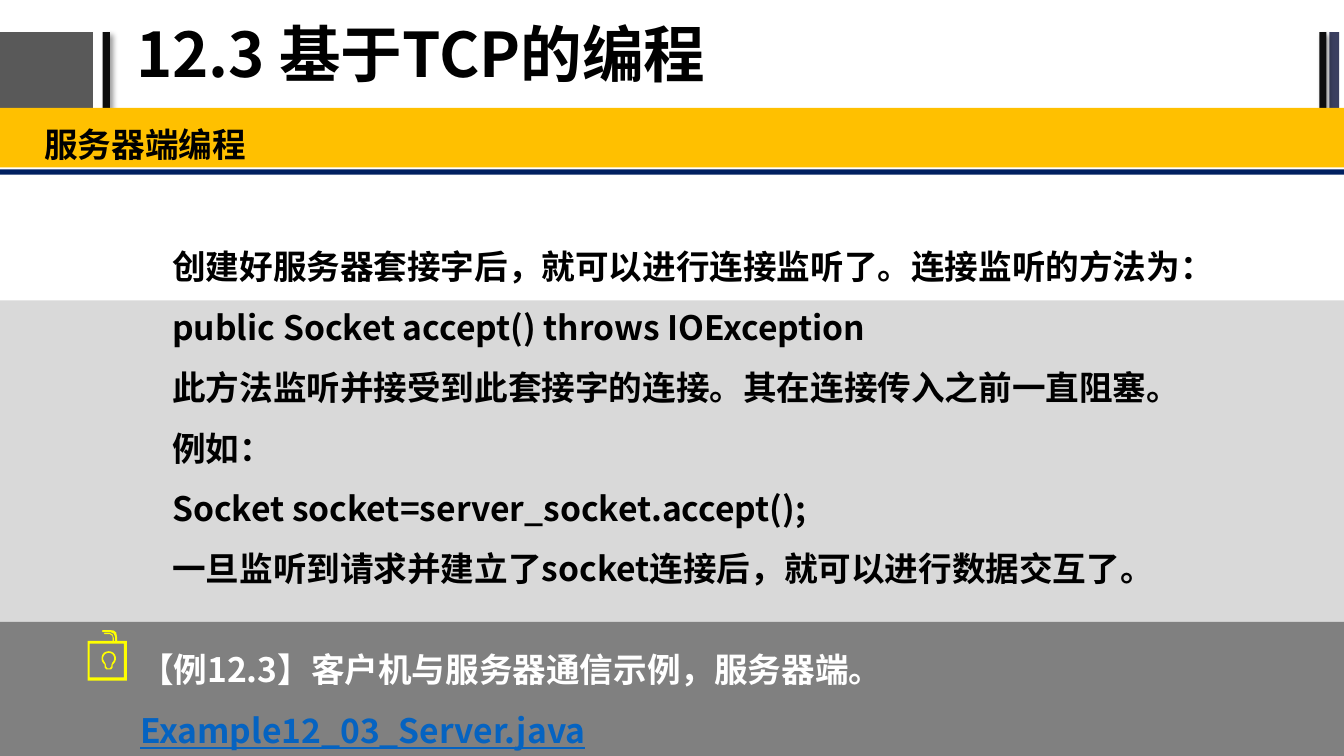
from math import cos, sin, radians
from lxml import etree
from pptx import Presentation
from pptx import util as u
from pptx.dml.color import RGBColor
from pptx.enum import shapes, text
from pptx.oxml import parse_xml
from pptx.oxml.ns import qn, nsdecls

FONT = "Noto Sans CJK SC"
HUES = {"slate": "595959", "ink": "0D0D0D", "plum": "3B3F60", "light": "D9D9D9",
        "navy": "002060", "gold": "FFC000", "grey": "808080", "lock": "FFFF00",
        "black": "000000", "white": "FFFFFF", "link": "0563C1"}


def paint(shape, hue):
    """Give a shape a plain fill without line or shadow."""
    shape.shadow.inherit = False
    shape.fill.solid()
    shape.fill.fore_color.rgb = RGBColor.from_string(HUES[hue])
    shape.line.fill.background()


def write(box, place, lines, size, pace, rise=0, hue="black", pad=(0.33, 0.18)):
    """Place a text shape and fill it with bold paragraphs."""
    box.left, box.top, box.width, box.height = [u.Cm(n) for n in place]
    frame = box.text_frame
    frame.word_wrap = True
    frame.auto_size = text.MSO_AUTO_SIZE.NONE
    frame.margin_left = frame.margin_right = u.Cm(pad[0])
    frame.margin_top = frame.margin_bottom = u.Cm(pad[1])
    frame.text = "\n".join(lines)
    for para in frame.paragraphs:
        para.alignment = text.PP_ALIGN.LEFT
        para.line_spacing = pace
        para.space_before = u.Pt(rise)
        font = para.font
        font.name, font.size, font.bold = FONT, u.Pt(size), True
        font.color.rgb = RGBColor.from_string(HUES[hue])
        base = para._p.pPr.find(qn("a:defRPr"))
        etree.SubElement(base, qn("a:ea"), typeface=FONT)
    return frame


deck = Presentation()
deck.slide_width, deck.slide_height = u.Cm(33.87), u.Cm(19.05)
slide = deck.slides.add_slide(deck.slide_layouts[1])
pool = slide.shapes
title, body = slide.placeholders

# Header blocks and full-width bands: left, top, width, height, colour
wide = 33.87
bands = [(0, 0.81, 2.34, 1.93, "slate"), (2.59, 0.81, 0.18, 1.93, "ink"),
         (33.5, 0.81, 0.25, 1.93, "plum"), (33.25, 0.81, 0.18, 1.93, "ink"),
         (0, 7.57, wide, 10.11, "light"), (0, 4.27, wide, 0.13, "navy"),
         (0, 2.72, wide, 1.5, "gold"), (0, 15.67, wide, 3.38, "grey")]
for *place, hue in bands:
    band = pool.add_shape(shapes.MSO_SHAPE.RECTANGLE, *[u.Cm(n) for n in place])
    paint(band, hue)
    if hue == "ink":
        glow = band._element.spPr.find(qn("a:effectLst"))
        glow.append(parse_xml(
            f'<a:outerShdw {nsdecls("a")} blurRad="50800" dist="38100" dir="2700000">'
            '<a:srgbClr val="000000"><a:alpha val="40000"/></a:srgbClr></a:outerShdw>'))

# Title and section name
write(title, (3.18, 0.05, 21.51, 2.79), ["12.3 基于TCP的编程"], 44, 0.9,
      pad=(0.25, 0.13)).vertical_anchor = text.MSO_ANCHOR.MIDDLE
head = pool.add_textbox(0, 0, 0, 0)
write(head, (0.79, 2.74, 33.08, 1.47), ["服务器端编程"], 24, 1.2, 5)

# Body text, in front of the bands
pool._spTree.append(body._element)
frame = write(body, (2.74, 5.51, 27.58, 9.96), [
    "创建好服务器套接字后，就可以进行连接监听了。连接监听的方法为：",
    "public Socket accept() throws IOException",
    "此方法监听并接受到此套接字的连接。其在连接传入之前一直阻塞。",
    "例如：",
    "Socket socket=server_socket.accept();",
    "一旦监听到请求并建立了socket连接后，就可以进行数据交互了。"], 24, 1.5)
frame.vertical_anchor = text.MSO_ANCHOR.TOP
for para in frame.paragraphs:
    props = para._p.pPr
    props.set("marL", "0")
    props.set("indent", str(u.Cm(1.27)))
    props.find(qn("a:defRPr")).addprevious(etree.Element(qn("a:buNone")))

# Example with its file name
note = pool.add_textbox(0, 0, 0, 0)
frame = write(note, (3.2, 15.67, 28.98, 2.54),
              ["【例12.3】客户机与服务器通信示例，服务器端。"], 24, 1.5, 5, "white")
para = frame.paragraphs[0]
para.add_line_break()
run = para.add_run()
run.text = "Example12_03_Server.java"
run.font.underline = True
run.font.color.rgb = RGBColor.from_string(HUES["link"])

# Padlock: case with shackle, then keyhole, in hundredths of a centimetre
case = [(320, 1615), (295, 1615), (295, 1605), (293, 1594), (287, 1589), (279, 1588),
        (259, 1588), (257, 1590), (259, 1593), (279, 1593), (287, 1597), (290, 1605),
        (290, 1615), (287, 1615), (287, 1608), (284, 1599), (277, 1595), (264, 1595),
        (262, 1597), (264, 1598), (277, 1598), (283, 1602), (284, 1608), (284, 1615),
        (221, 1615), (221, 1715), (320, 1715)]
hollow = [(226, 1622), (312, 1622), (312, 1707), (226, 1707)]
rings = []
for size, half, base in [(18, 10, 1687), (14, 7, 1684)]:
    arc = [(274 + size * cos(radians(a)), 1659 + size * sin(radians(a)))
           for a in range(130, 411, 20)]
    rings.append(arc + [(274 + half, 1675), (274 + half, base - 5), (274 + half - 4, base),
                        (274 - half + 4, base), (274 - half, base - 5), (274 - half, 1675)])
for outer, inner in [(case, hollow), rings]:
    pen = pool.build_freeform(*outer[0], scale=u.Cm(0.01))
    pen.add_line_segments(outer[1:])
    pen.move_to(*inner[0])
    pen.add_line_segments(inner[1:])
    paint(pen.convert_to_shape(), "lock")

deck.save("out.pptx")
